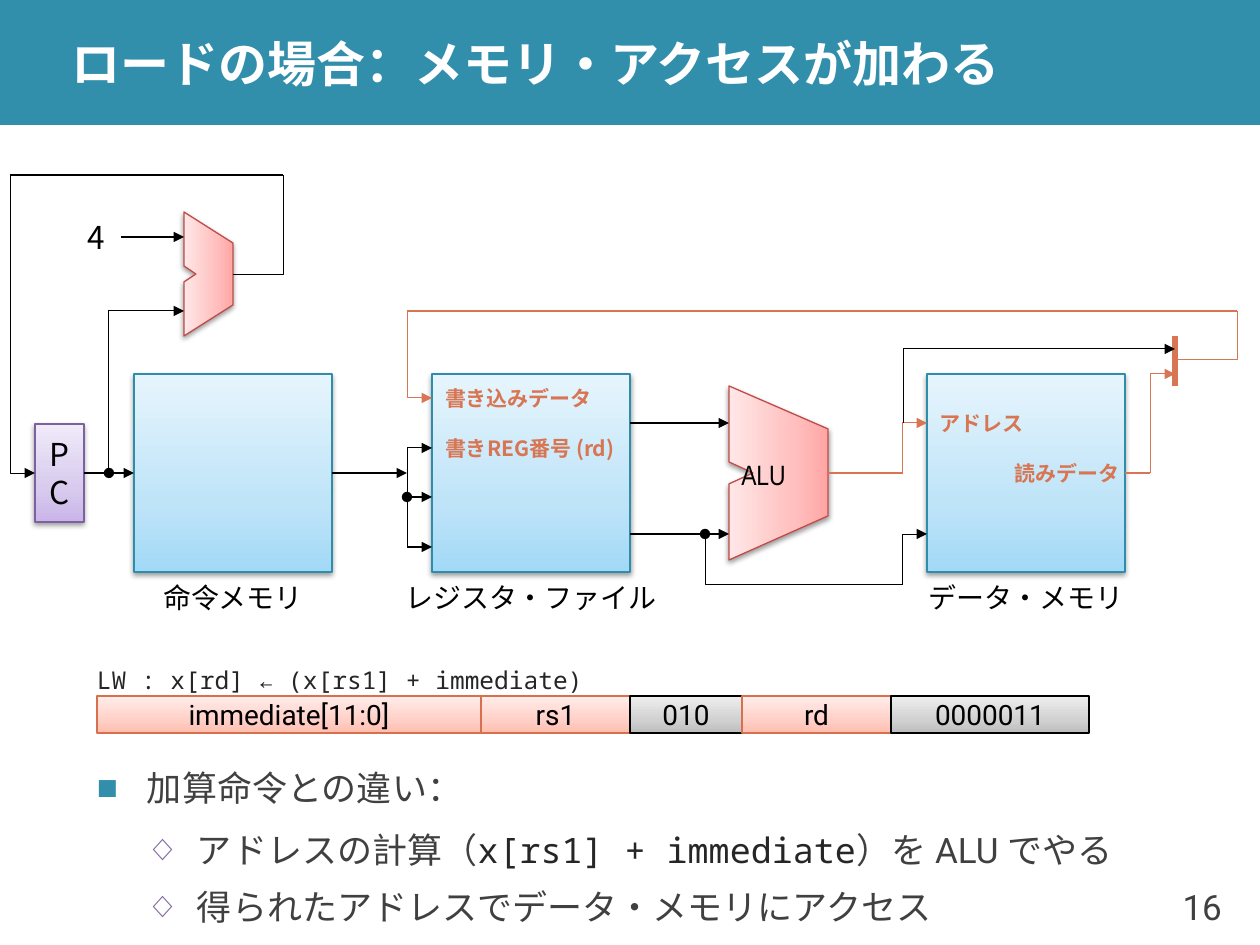
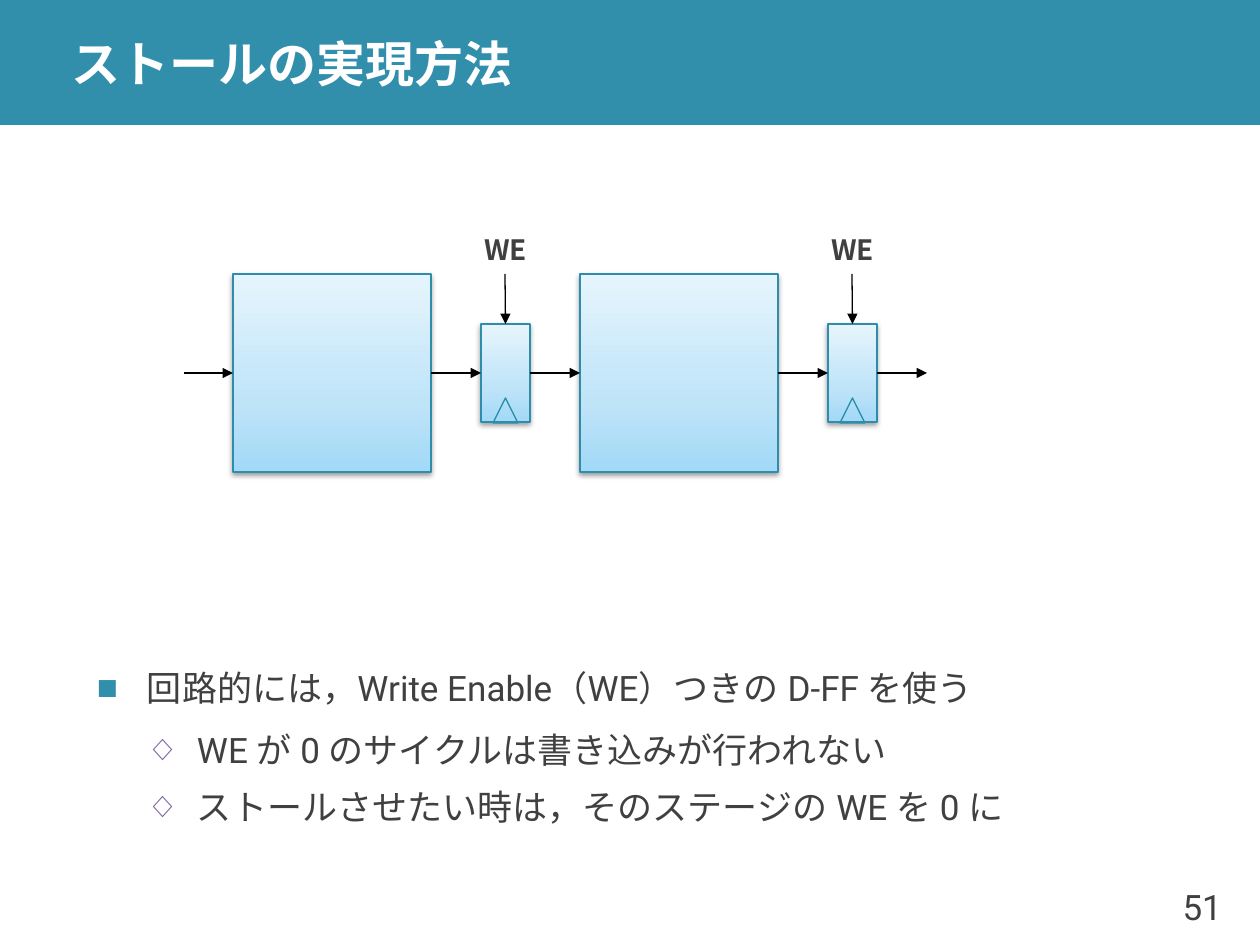
import copy

import pptx
import pptx.dml.color
import pptx.enum.shapes
import pptx.enum.text
import pptx.oxml.ns
import pptx.util
from lxml import etree

PX = 914400 / 126
COLOURS = {
    "band": "328FAC", "text": "404040", "code": "262626", "white": "FFFFFF",
    "black": "000000", "orange": "D87552", "diamond": "8064A2",
}
# Outline, then gradient stops at 0, 35 and 100 percent
GRADIENTS = {
    "blue": ("2E8DAB", "A2D9F7", "BFE4F8", "E6F5FD"),
    "red": ("BF4C48", "FFA6A5", "FFC0BF", "FFE7E7"),
    "violet": ("7D60A0", "C9B5E8", "D8CBEE", "F0EAF9"),
    "salmon": ("D7714D", "FFBEB0", "FFD0C7", "FFEDEA"),
    "grey": ("000000", "BDBDBD", "D1D1D1", "EEEEEE"),
}
SANS, CJK, MONO, NARROW = "Roboto", "Noto Sans CJK JP", "Noto Sans Mono", "Arial Narrow"
BULLETS = [
    {"char": "■", "colour": "band", "size": 100, "before": 24, "after": 6},
    {"char": "◇", "colour": "diamond", "size": 90, "before": 3, "after": 3},
]
ALIGN = pptx.enum.text.PP_ALIGN
SHAPE = pptx.enum.shapes.MSO_SHAPE
TOP, LEFT, RIGHT = 0, 1, 3


def px(length):
    return pptx.util.Emu(round(length * PX))


def rgb(name):
    return pptx.dml.color.RGBColor.from_string(COLOURS.get(name, name))


def apply(target, formats):
    for name, value in formats.items():
        setattr(target, name, value)


def add_xml(parent, tag, **attributes):
    element = etree.SubElement(parent, pptx.oxml.ns.qn(tag))
    for name, value in attributes.items():
        element.set(name, str(value))
    return element


class Deck:
    def __init__(self):
        self.presentation = pptx.Presentation()
        apply(self.presentation, {"slide_width": px(1260), "slide_height": px(945)})
        self.slide = None

    # Shared slide frame
    def new_slide(self, title, number):
        self.slide = self.presentation.slides.add_slide(self.presentation.slide_layouts[1])
        band = self.shape(SHAPE.RECTANGLE, 0, 0, 1260, 125)
        band.fill.solid()
        band.fill.fore_color.rgb = rgb("band")
        band.line.fill.background()
        self.slide.shapes.element.insert(2, band.element)
        heading = self.slide.shapes.title
        self.place(heading, 59, 0, 1201, 125)
        self.set_text(heading, title, 28, SANS, "white", bold=True, align=ALIGN.LEFT, inset=13)
        self.label(number, 1150, 869, 85, 76, 20, SANS, "text", align=ALIGN.RIGHT, inset=13)

    def place(self, shape, x, y, width, height):
        apply(shape, {"left": px(x), "top": px(y), "width": px(width), "height": px(height)})

    # Text
    def run(self, paragraph, text, size, font, colour, bold=False):
        run = paragraph.add_run()
        run.text = text
        apply(run.font, {"size": pptx.util.Pt(size), "name": font, "bold": bold})
        run.font.color.rgb = rgb(colour)
        add_xml(run.font._element, "a:ea", typeface=font)

    def frame(self, shape, inset=0, wrap=True):
        frame = shape.text_frame
        apply(frame, {
            "margin_left": px(inset), "margin_right": px(inset), "margin_top": 0,
            "margin_bottom": 0, "word_wrap": wrap,
            "vertical_anchor": pptx.enum.text.MSO_ANCHOR.MIDDLE,
            "auto_size": pptx.enum.text.MSO_AUTO_SIZE.NONE,
        })
        return frame

    def set_text(self, shape, text, size, font, colour, bold=False, align=ALIGN.CENTER,
                 inset=0, wrap=True):
        paragraph = self.frame(shape, inset, wrap).paragraphs[0]
        paragraph.alignment = align
        self.run(paragraph, text, size, font, colour, bold)

    def label(self, text, x, y, width, height, size=16, font=CJK, colour="black", **formats):
        box = self.slide.shapes.add_textbox(px(x), px(y), px(width), px(height))
        self.set_text(box, text, size, font, colour, **{"wrap": False, **formats})

    def bullets(self, y, height, items):
        body = self.slide.placeholders[1]
        self.place(body, 84, y, 1142, height)
        frame = self.frame(body, 13)
        for index, (level, runs) in enumerate(items):
            paragraph = frame.paragraphs[0] if index == 0 else frame.add_paragraph()
            bullet = BULLETS[level]
            apply(paragraph, {
                "level": level, "line_spacing": 1.1,
                "space_before": pptx.util.Pt(bullet["before"] if index else 0),
                "space_after": pptx.util.Pt(bullet["after"]),
            })
            properties = paragraph._p.get_or_add_pPr()
            properties.set("marL", str(px(50 * (level + 1))))
            properties.set("indent", str(px(-50)))
            add_xml(add_xml(properties, "a:buClr"), "a:srgbClr", val=COLOURS[bullet["colour"]])
            add_xml(properties, "a:buSzPct", val=bullet["size"] * 1000)
            add_xml(properties, "a:buChar", char=bullet["char"])
            for text, font, colour in runs:
                self.run(paragraph, text, 20, font, colour)

    # Shapes
    def shape(self, kind, x, y, width, height):
        shape = self.slide.shapes.add_shape(kind, px(x), px(y), px(width), px(height))
        shape.shadow.inherit = False
        return shape

    def paint(self, shape, palette, angle=90, shadow=True):
        outline, *stops = GRADIENTS[palette]
        shape.shadow.inherit = False
        shape.fill.gradient()
        shape.fill.gradient_angle = angle
        stop_list = shape.element.spPr.find(".//" + pptx.oxml.ns.qn("a:gsLst"))
        stop_list.insert(1, copy.deepcopy(stop_list[0]))
        for stop, colour, position in zip(shape.fill.gradient_stops, stops, (0, 0.35, 1)):
            stop.color.rgb = rgb(colour)
            stop.position = position
        shape.line.color.rgb = rgb(outline)
        shape.line.width = pptx.util.Pt(0.75)
        if shadow:
            effects = shape.element.spPr.find(pptx.oxml.ns.qn("a:effectLst"))
            outer = add_xml(effects, "a:outerShdw", blurRad=pptx.util.Pt(3.1),
                            dist=pptx.util.Pt(1.6), dir=5400000, rotWithShape=0)
            add_xml(add_xml(outer, "a:srgbClr", val=COLOURS["black"]), "a:alpha", val=38000)

    def block(self, x, y, width, height, palette="blue", shadow=True):
        block = self.shape(SHAPE.RECTANGLE, x, y, width, height)
        self.paint(block, palette, shadow=shadow)
        return block

    def outline(self, points, close):
        builder = self.slide.shapes.build_freeform(*points[0], scale=PX)
        builder.add_line_segments(points[1:], close=close)
        return builder.convert_to_shape()

    def adder(self, points):
        self.paint(self.outline(points, True), "red", angle=180)

    def flip_flop(self, x, y):
        register = self.block(x, y, 49, 98)
        clock = self.shape(SHAPE.ISOSCELES_TRIANGLE, x + 12, y + 74, 25, 25)
        clock.fill.background()
        clock.line.color.rgb = rgb(GRADIENTS["blue"][0])
        clock.line.width = pptx.util.Pt(0.75)
        self.slide.shapes.add_group_shape([register, clock])
        return register

    # Wires
    def ends(self, wire, colour, width, head, tail):
        wire.line.color.rgb = rgb(colour)
        wire.line.width = pptx.util.Pt(width)
        line = wire.line._get_or_add_ln()
        for tag, kind in (("a:headEnd", head), ("a:tailEnd", tail)):
            if kind:
                add_xml(line, tag, type=kind)

    def line(self, start, end, colour="black", width=0.75, head=None, tail="triangle"):
        """Each end is an (x, y) point or a (shape, side) pair to join."""
        points = [target if isinstance(target[0], int) else (0, 0) for target in (start, end)]
        corners = [px(length) for point in points for length in point]
        wire = self.slide.shapes.add_connector(
            pptx.enum.shapes.MSO_CONNECTOR.STRAIGHT, *corners)
        for target, join in ((start, wire.begin_connect), (end, wire.end_connect)):
            if not isinstance(target[0], int):
                join(*target)
        self.ends(wire, colour, width, head, tail)
        add_xml(wire.element.spPr, "a:effectLst")

    def bend(self, points, colour="black", head=None, tail="triangle"):
        wire = self.outline(points, False)
        wire.shadow.inherit = False
        wire.fill.background()
        self.ends(wire, colour, 0.5, head, tail)


def load_slide(deck):
    deck.new_slide("ロードの場合：メモリ・アクセスが加わる", "16")
    deck.bullets(795, 100, [
        (0, [("加算命令との違い：", SANS, "text")]),
        (1, [("アドレスの計算（", SANS, "text"), ("x[rs1] + immediate", MONO, "code"),
             ("）を ALU でやる", SANS, "text")]),
        (1, [("得られたアドレスでデータ・メモリにアクセス", SANS, "text")]),
    ])

    # Memories, adders and program counter
    memories = []
    for x, name in ((134, "命令メモリ"), (432, "レジスタ・ファイル"), (927, "データ・メモリ")):
        memories.append(deck.block(x, 374, 198, 198))
        deck.label(name, x, 572, 198, 50)
    instruction_memory, _, data_memory = memories
    deck.adder([(729, 386), (828, 429), (828, 516), (729, 560),
                (729, 484), (753, 473), (729, 462)])
    deck.label("ALU", 734, 449, 59, 50, 16, NARROW)
    deck.adder([(184, 212), (233, 243), (233, 305), (184, 336),
                (184, 282), (196, 274), (184, 266)])
    counter = deck.block(35, 424, 49, 98, "violet")
    deck.set_text(counter, "PC", 18, CJK, "black", inset=12)
    deck.label("4", 71, 212, 50, 50, 18)

    # Straight wires
    deck.line((counter, RIGHT), (instruction_memory, LEFT))
    deck.line((instruction_memory, RIGHT), (407, 473))
    deck.line((data_memory, RIGHT), (1150, 473), "orange", tail=None)
    deck.line((828, 473), (903, 473), "orange", tail=None)
    deck.line((1237, 311), (407, 311), "orange", tail=None)
    deck.line((1175, 336), (1175, 386), "orange", 3, tail=None)
    deck.line((10, 175), (283, 175), tail=None)
    deck.line((121, 237), (184, 237))
    deck.line((407, 497), (432, 497), head="oval")
    deck.line((407, 547), (432, 547))
    for y in (423, 534):
        deck.line((630, y), (729, y))

    # Bent wires
    deck.bend([(109, 473), (109, 311), (184, 311)], head="oval")
    deck.bend([(10, 175), (10, 473), (35, 473)])
    deck.bend([(233, 274), (283, 274), (283, 175)], tail=None)
    deck.bend([(407, 547), (407, 448), (432, 448)])
    deck.bend([(705, 534), (705, 584), (903, 584)], head="oval", tail=None)
    deck.bend([(903, 584), (903, 534), (927, 534)])
    deck.bend([(903, 473), (903, 423), (927, 423)], "orange")
    deck.bend([(903, 423), (903, 349), (1175, 349)])
    deck.bend([(1150, 473), (1150, 374), (1175, 374)], "orange")
    deck.bend([(1175, 360), (1237, 360), (1237, 311)], "orange", tail=None)
    deck.bend([(407, 311), (407, 398), (432, 398)], "orange")

    # Port names
    for text, x, y in (("書き込みデータ", 432, 373), ("書きREG番号 (rd)", 432, 423),
                       ("アドレス", 927, 398), ("読みデータ", 1002, 448)):
        deck.label(text, x, y, 220, 50, 12, CJK, "orange", bold=True,
                   align=ALIGN.LEFT, inset=13, wrap=True)

    # Instruction format
    deck.label("LW : x[rd] ← (x[rs1] + immediate)", 84, 659, 560, 42, 14, MONO, "code",
               align=ALIGN.LEFT, inset=13, wrap=True)
    x = 97
    for text, width, palette in (("immediate[11:0]", 384, "salmon"), ("rs1", 149, "salmon"),
                                 ("010", 112, "grey"), ("rd", 149, "salmon"),
                                 ("0000011", 198, "grey")):
        field = deck.block(x, 696, width, 37, palette, shadow=False)
        deck.set_text(field, text, 16, SANS, "black", wrap=False)
        x += width


def stall_slide(deck):
    deck.new_slide("ストールの実現方法", "51")
    deck.bullets(621, 248, [(level, [(text, SANS, "text")]) for level, text in (
        (0, "回路的には，Write Enable（WE）つきの D-FF を使う"),
        (1, "WE が 0 のサイクルは書き込みが行われない"),
        (1, "ストールさせたい時は，そのステージの WE を 0 に"),
    )])

    # Pipeline stages, each followed by a register
    source = (184, 373)
    for x in (233, 580):
        stage = deck.block(x, 274, 198, 198)
        register = deck.flip_flop(x + 248, 324)
        deck.line(source, (stage, LEFT))
        deck.line((stage, RIGHT), (register, LEFT))
        deck.line((x + 272, 274), (register, TOP))
        deck.label("WE", x + 223, 224, 99, 50, 16, CJK, "text", bold=True)
        source = (register, RIGHT)
    deck.line(source, (927, 373))


def main():
    deck = Deck()
    load_slide(deck)
    stall_slide(deck)
    deck.presentation.save("out.pptx")


if __name__ == "__main__":
    main()
